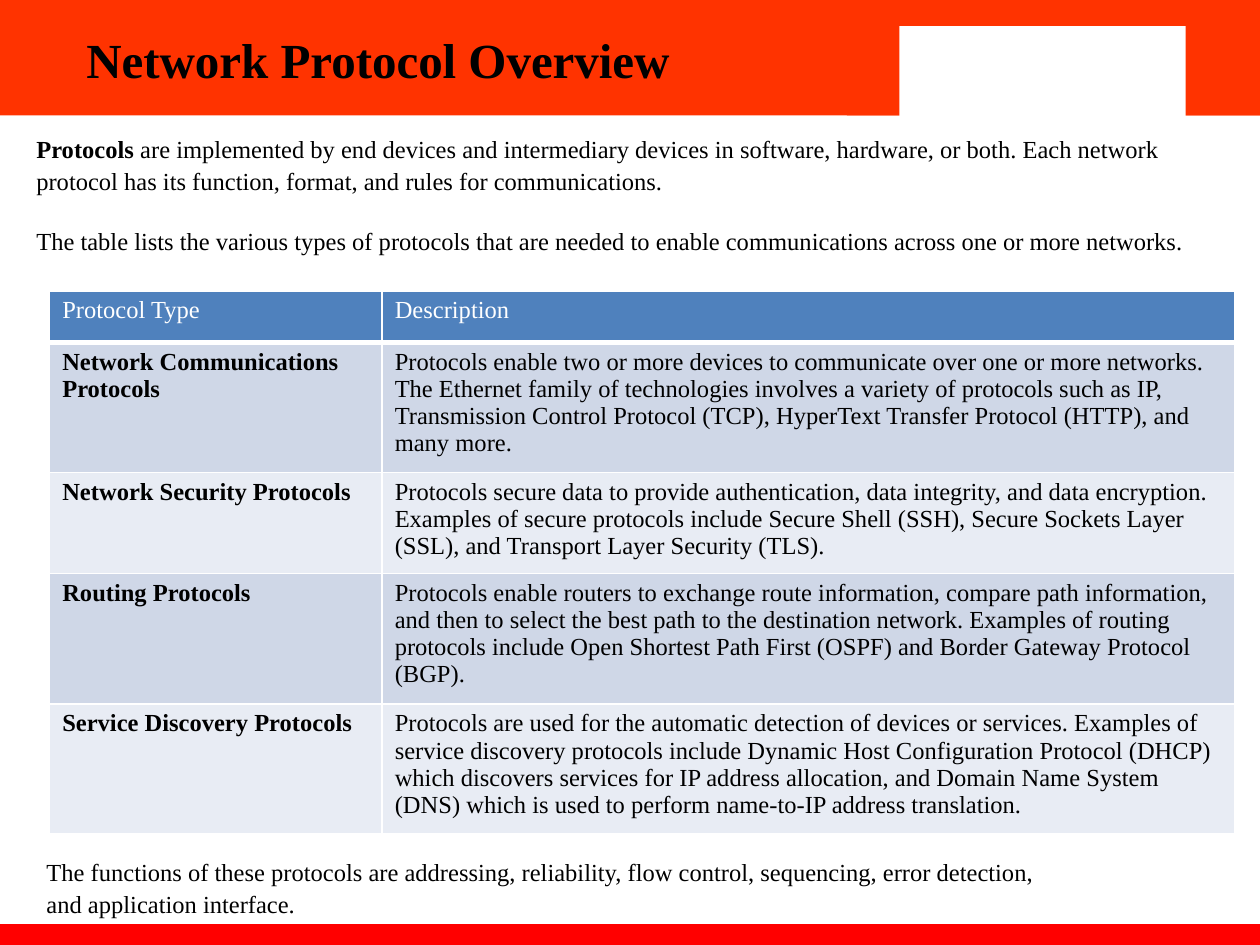
from lxml import etree
from pptx import Presentation
from pptx.dml.color import RGBColor
from pptx.enum import shapes, text
from pptx.oxml import ns
from pptx.util import Pt

COLORS = {
    "band": "FF3300", "footer": "FF0000", "panel": "FFFFFF", "text": "000000",
    "header": "4F81BD", "header_text": "FFFFFF", "border": "FFFFFF",
    "odd_row": "CFD7E7", "even_row": "E8ECF4",
}
COLUMN_WIDTHS = [190, 487]
ROW_HEIGHTS = [29.4, 74.5, 57.6, 74.4, 74.4]
PROTOCOLS = [
    ("Protocol Type", "Description"),
    ("Network Communications Protocols",
     "Protocols enable two or more devices to communicate over one or more networks. "
     "The Ethernet family of technologies involves a variety of protocols such as IP, "
     "Transmission Control Protocol (TCP), HyperText Transfer Protocol (HTTP), and many more."),
    ("Network Security Protocols",
     "Protocols secure data to provide authentication, data integrity, and data encryption. "
     "Examples of secure protocols include Secure Shell (SSH), Secure Sockets Layer (SSL), "
     "and Transport Layer Security (TLS)."),
    ("Routing Protocols",
     "Protocols enable routers to exchange route information, compare path information, "
     "and then to select the best path to the destination network. Examples of routing "
     "protocols include Open Shortest Path First (OSPF) and Border Gateway Protocol (BGP)."),
    ("Service Discovery Protocols",
     "Protocols are used for the automatic detection of devices or services. Examples of "
     "service discovery protocols include Dynamic Host Configuration Protocol (DHCP) which "
     "discovers services for IP address allocation, and Domain Name System (DNS) which is "
     "used to perform name-to-IP address translation."),
]


def rgb(name):
    return RGBColor.from_string(COLORS[name])


class SlideBuilder:
    """Holds the text style and the slide being filled."""

    def __init__(self, slide, font="Times New Roman", size=14):
        self.slide, self.font, self.size = slide, font, size

    def style(self, run, color="text", bold=False, size=None):
        run.font.name = self.font
        run.font.size = Pt(size or self.size)
        run.font.bold = bold
        run.font.color.rgb = rgb(color)

    def block(self, left, top, width, height, color):
        block = self.slide.shapes.add_shape(
            shapes.MSO_SHAPE.RECTANGLE, Pt(left), Pt(top), Pt(width), Pt(height))
        block.shadow.inherit = False
        block.fill.solid()
        block.fill.fore_color.rgb = rgb(color)
        block.line.fill.background()

    def title(self, left, top, width, height, wording):
        frame = self.slide.shapes.add_textbox(
            Pt(left), Pt(top), Pt(width), Pt(height)).text_frame
        frame.word_wrap = True
        frame.vertical_anchor = text.MSO_ANCHOR.MIDDLE
        frame.margin_left = frame.margin_right = frame.margin_top = frame.margin_bottom = 0
        frame.text = wording
        line = frame.paragraphs[0]
        line.alignment = text.PP_ALIGN.CENTER
        line.line_spacing = 0.9
        self.style(line.runs[0], bold=True, size=28)

    def body(self, left, top, width, height, paragraphs, gap=0):
        """Each paragraph is a list of (wording, bold) pairs."""
        frame = self.slide.shapes.add_textbox(
            Pt(left), Pt(top), Pt(width), Pt(height)).text_frame
        frame.word_wrap = True
        for index, parts in enumerate(paragraphs):
            paragraph = frame.add_paragraph() if index else frame.paragraphs[0]
            paragraph.line_spacing = 1.07
            if index and gap:
                paragraph.space_before = Pt(gap)
            for wording, bold in parts:
                run = paragraph.add_run()
                run.text = wording
                self.style(run, bold=bold)

    def border(self, cell, bottom_width):
        properties = cell._tc.get_or_add_tcPr()
        widths = {"lnL": 1, "lnR": 1, "lnT": 1, "lnB": bottom_width}
        for position, (side, width) in enumerate(widths.items()):
            edge = etree.Element(ns.qn(f"a:{side}"), w=str(Pt(width)))
            fill = etree.SubElement(edge, ns.qn("a:solidFill"))
            etree.SubElement(fill, ns.qn("a:srgbClr"), val=COLORS["border"])
            properties.insert(position, edge)

    def table(self, left, top, widths, heights, rows):
        table = self.slide.shapes.add_table(
            len(rows), len(widths), Pt(left), Pt(top), Pt(sum(widths)), Pt(sum(heights))).table
        for column, width in zip(table.columns, widths):
            column.width = Pt(width)
        for r, (row, height) in enumerate(zip(rows, heights)):
            table.rows[r].height = Pt(height)
            fill = "header" if r == 0 else "odd_row" if r % 2 else "even_row"
            for c, wording in enumerate(row):
                cell = table.cell(r, c)
                cell.text = wording
                self.style(cell.text_frame.paragraphs[0].runs[0],
                           color="text" if r else "header_text", bold=r > 0 and c == 0)
                cell.fill.solid()
                cell.fill.fore_color.rgb = rgb(fill)
                self.border(cell, bottom_width=1 if r else 3)


def main():
    deck = Presentation()
    deck.slide_width, deck.slide_height = Pt(720), Pt(540)
    page = SlideBuilder(deck.slides.add_slide(deck.slide_layouts[6]))

    page.block(0, 0, 720, 66, "band")
    page.block(0, 528, 720, 12, "footer")
    page.block(484, 0, 236, 66, "band")
    page.block(514, 15, 163.5, 54, "panel")

    page.title(0, 0, 432, 72, "Network Protocol Overview")
    page.body(13.7, 72, 692, 75, [
        [("Protocols", True),
         (" are implemented by end devices and intermediary devices in software, hardware, "
          "or both. Each network protocol has its function, format, and rules for "
          "communications.", False)],
        [("The table lists the various types of protocols that are needed to enable "
          "communications across one or more networks.", False)],
    ], gap=16.6)
    page.table(28.4, 166.2, COLUMN_WIDTHS, ROW_HEIGHTS, PROTOCOLS)
    page.body(19.5, 485.3, 598, 41, [
        [("The functions of these protocols are addressing, reliability, flow control, "
          "sequencing, error detection,", False)],
        [("and application interface.", False)],
    ])
    deck.save("out.pptx")


if __name__ == "__main__":
    main()
